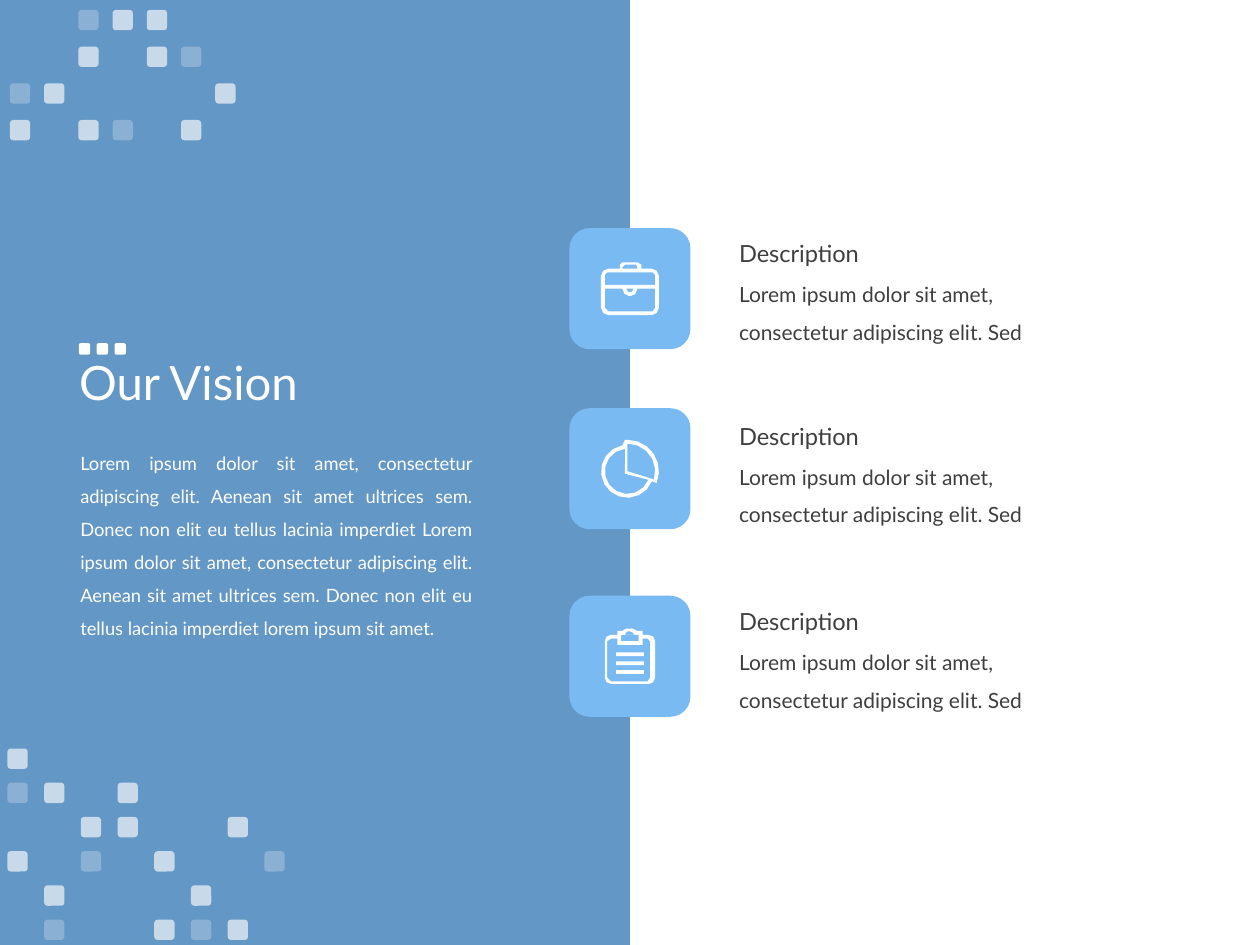
import math
from dataclasses import dataclass

from lxml import etree
from pptx import Presentation, util as u
from pptx.dml.color import RGBColor
from pptx.enum import shapes as sh, text as tx
from pptx.oxml.ns import qn

WHITE, DARK, TILE, BLUE = "FFFFFF", "3F3F3F", "7ABAF2", "1060A6"
FONT = "Lato"
UNIT = u.Cm(2.54) / 100  # icon unit
FINE = 100  # steps per icon unit
SIDE = 2.44

Path = list[tuple[float, float]]


@dataclass
class Item:
    tile: float
    text: float
    icon: list[Path]


@dataclass
class Grid:
    left: float
    top: float
    dx: float
    dy: float
    rows: list[str]


def arc(x: float, y: float, r: float, start: float, end: float) -> Path:
    """Points from start to end, in degrees clockwise from the right."""
    steps = max(2, round(abs(end - start) * math.sqrt(r) / 100))
    turns = [math.radians(start + (end - start) * i / steps) for i in range(steps + 1)]
    return [(x + r * math.cos(a), y + r * math.sin(a)) for a in turns]


def box(l: float, t: float, r: float, b: float, rad: float) -> Path:
    """Outline of a rectangle with round corners."""
    return (arc(l + rad, t + rad, rad, 180, 270) + arc(r - rad, t + rad, rad, 270, 360)
            + arc(r - rad, b - rad, rad, 0, 90) + arc(l + rad, b - rad, rad, 90, 180))


CASE = [
    box(-23, -16, 23, 21, 6),
    [(-8, -16), (-8, -19), (-6, -21), (6, -21), (9, -19), (9, -16)],
    [(-6, -16), (-6, -17), (-4, -19), (5, -19), (6, -17), (6, -16)],
    [(-20, -3), (-20, -11), (-18, -13), (18, -13), (20, -11), (20, -3)],
    [(-20, 0), *arc(0, 0, 6, 180, 0), (20, 0), (20, 15), (18, 18), (-17, 18), (-20, 15)],
    arc(0, 0, 3, 180, 0),
]
PIE = [
    arc(-2, 2, 25, -90, 22) + arc(-2, 2, 21, 22, 259) + [(-4, -23)],
    arc(-2, 2, 18, 22, 264) + [(-4, 4)],
    [(-2, 2), *arc(-2, 2, 22, -90, 17)],
]
CLIP = [
    box(-20, -17, 20, 22, 5),
    [(-10, -17), (-10, -20), (-6, -20), (-3, -22), (2, -22), (6, -20), (10, -20), (10, -17)],
    [(-7, -17), (-4, -17), (-3, -19), (-1, -20), (2, -19), (4, -17), (7, -17), (7, -12), (-7, -12)],
    [(-18, -12), (-15, -14), (-10, -14), (-10, -9), (10, -9), (10, -14), (14, -14),
     (16, -12), (16, 17), (14, 20), (-15, 20), (-18, 17)],
    *[[(-11, y), (11, y), (11, y + 3), (-11, y + 3)] for y in (-3, 4, 11)],
]
ITEMS = [Item(4.6, 4.7, CASE), Item(8.23, 8.38, PIE), Item(12.01, 12.11, CLIP)]

# "o" is a bright square, "+" a dim one
GRIDS = [
    Grid(0.2, 0.2, 0.69, 0.74, ["..+oo", "..o.o+", "+o....o", "o.o+.o"]),
    Grid(0.15, 15.09, 0.74, 0.69,
         ["o", "+o.o", "..oo..o", "o.+.o..+", ".o...o", ".+..o+o"]),
]
ALPHA = {"o": 65, "+": 25}

LEAD = "Lorem ipsum dolor sit amet, consectetur adipiscing elit. "
MORE = "Aenean sit amet ultrices sem. Donec non elit eu tellus lacinia imperdiet "
BODY = (LEAD + MORE) * 2 + "lorem ipsum sit amet."


def paint(shape, hue: str, alpha: int = 100) -> None:
    shape.shadow.inherit = False
    shape.line.fill.background()
    shape.fill.solid()
    shape.fill.fore_color.rgb = RGBColor.from_string(hue)
    if alpha < 100:
        tone = shape.fill._xPr.find(".//" + qn("a:srgbClr"))
        etree.SubElement(tone, qn("a:alpha")).set("val", str(alpha * 1000))


def block(slide, kind, x: float, y: float, w: float, h: float, hue: str, alpha: int = 100):
    shape = slide.shapes.add_shape(kind, u.Cm(x), u.Cm(y), u.Cm(w), u.Cm(h))
    paint(shape, hue, alpha)
    return shape


def write(frame, words: str, size: float, hue: str, space: float = 1.0,
          align=tx.PP_ALIGN.LEFT) -> None:
    frame.word_wrap = True
    para = frame.paragraphs[0]
    para.alignment, para.line_spacing = align, space
    run = para.add_run()
    run.text = words
    run.font.name, run.font.size = FONT, u.Pt(size)
    run.font.color.rgb = RGBColor.from_string(hue)


def label(slide, x: float, y: float, w: float, h: float, *args) -> None:
    area = slide.shapes.add_textbox(u.Cm(x), u.Cm(y), u.Cm(w), u.Cm(h))
    write(area.text_frame, *args)


def draw_icon(slide, paths: list[Path], x: float, y: float) -> None:
    """Draw an icon centred on x, y; inner paths become holes."""
    fine = [[(px * FINE, py * FINE) for px, py in path] for path in paths]
    pen = slide.shapes.build_freeform(*fine[0][0], scale=UNIT / FINE)
    for i, path in enumerate(fine):
        if i:
            pen.move_to(*path[0])
        pen.add_line_segments(path[1:], close=True)
    paint(pen.convert_to_shape(u.Cm(x), u.Cm(y)), WHITE)


def draw_item(slide, item: Item) -> None:
    mid = 12.7
    block(slide, sh.MSO_SHAPE.ROUNDED_RECTANGLE, mid - SIDE / 2, item.tile, SIDE, SIDE, TILE)
    draw_icon(slide, item.icon, mid, item.tile + SIDE / 2)
    label(slide, 14.65, item.text + 0.6, 7.57, 1.7, LEAD + "Sed", 12, DARK, 1.5)
    label(slide, 14.65, item.text, 4.47, 0.84, "Description", 13.5, DARK)


def draw_grid(slide, grid: Grid) -> None:
    for r, row in enumerate(grid.rows):
        for c, mark in enumerate(row):
            if mark in ALPHA:
                block(slide, sh.MSO_SHAPE.ROUNDED_RECTANGLE, grid.left + c * grid.dx,
                      grid.top + r * grid.dy, 0.41, 0.41, WHITE, ALPHA[mark])


def main() -> None:
    deck = Presentation()
    deck.slide_width, deck.slide_height = u.Cm(25.4), u.Cm(19.05)
    slide = deck.slides.add_slide(deck.slide_layouts[5])

    panel = block(slide, sh.MSO_SHAPE.RECTANGLE, 0, 0, 12.7, 19.05, BLUE, 65)
    slide.shapes._spTree.insert(2, panel._element)

    title = slide.shapes.title
    title.left, title.top = u.Cm(1.34), u.Cm(5.64)
    title.width, title.height = u.Cm(21.89), u.Cm(4.24)
    title.text_frame.vertical_anchor = tx.MSO_ANCHOR.MIDDLE
    write(title.text_frame, "Our Vision", 27, WHITE, 0.9)

    label(slide, 1.37, 8.76, 8.41, 4.22, BODY, 10.5, WHITE, 1.5, tx.PP_ALIGN.JUSTIFY)
    for item in ITEMS:
        draw_item(slide, item)
    for i in range(3):
        block(slide, sh.MSO_SHAPE.ROUNDED_RECTANGLE, 1.59 + i * 0.36, 6.92, 0.23, 0.23, WHITE)
    for grid in GRIDS:
        draw_grid(slide, grid)
    deck.save("out.pptx")


if __name__ == "__main__":
    main()
